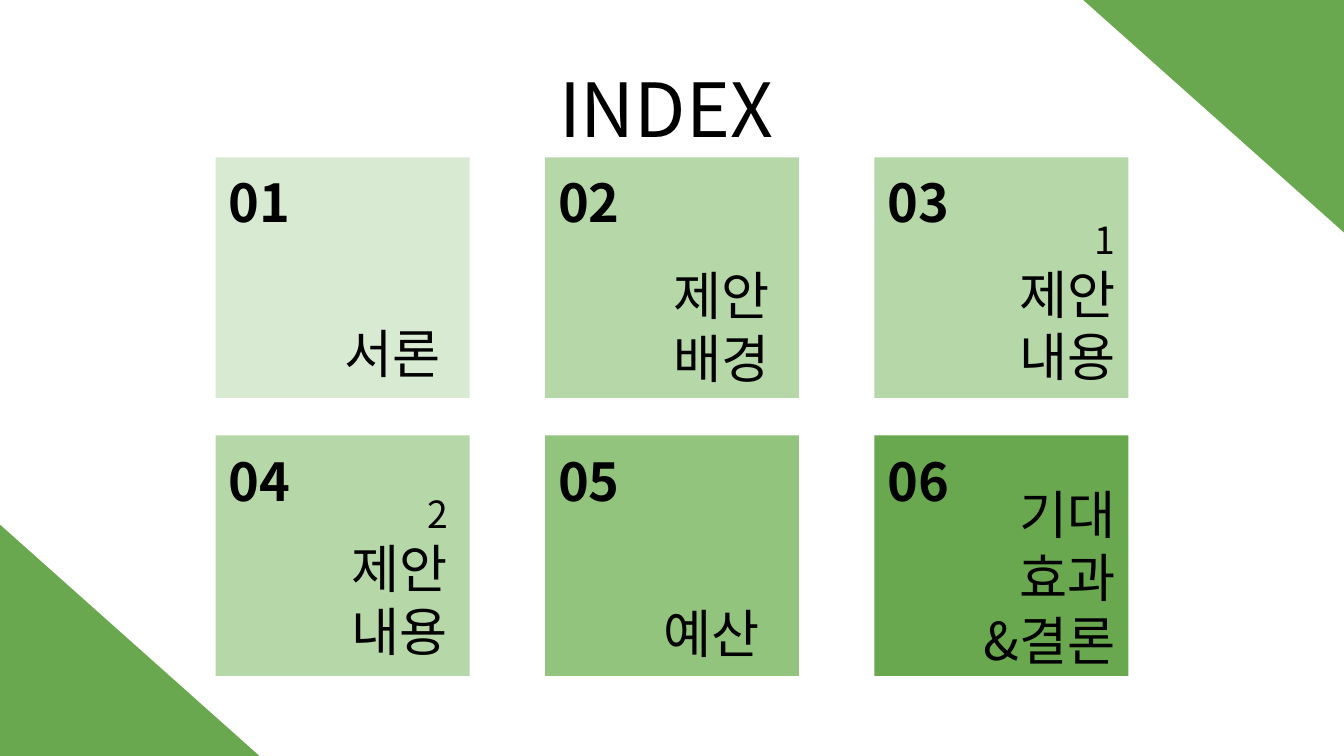
from pptx import Presentation
from pptx.dml.color import RGBColor
from pptx.enum.shapes import MSO_SHAPE
from pptx.enum.text import MSO_ANCHOR, MSO_AUTO_SIZE, PP_ALIGN
from pptx.oxml.ns import qn
from pptx.util import Emu, Pt

PX = 4572  # EMU per px, 200 px to the inch
FONT = "Noto Sans CJK KR"
COLORS = {
    "text": "000000",
    "pale": "D9EAD3",
    "light": "B6D7A8",
    "medium": "93C47D",
    "deep": "6AA84F",
}


def add_block(kind, bounds, color):
    block = page.shapes.add_shape(kind, *[Emu(n * PX) for n in bounds])
    block.shadow.inherit = False
    block.fill.solid()
    block.fill.fore_color.rgb = RGBColor.from_string(COLORS[color])
    block.line.fill.background()
    return block


def write(box, lines, align=PP_ALIGN.LEFT, bold=False, inset=20):
    """Fill a box with (text, point size) paragraphs."""
    frame = box.text_frame
    frame.word_wrap = True
    frame.vertical_anchor = MSO_ANCHOR.TOP
    frame.margin_left = frame.margin_right = Emu(20 * PX)
    frame.margin_top = frame.margin_bottom = Emu(inset * PX)
    frame.text = "\n".join(text for text, size in lines)
    for para, (text, size) in zip(frame.paragraphs, lines):
        para.alignment = align
        for span in para.runs:
            span.font.name = FONT
            span.font.size = Pt(size)
            span.font.bold = bold
            span.font.color.rgb = RGBColor.from_string(COLORS["text"])
            east_asian = span.font._element.makeelement(qn("a:ea"), {"typeface": FONT})
            span.font._element.find(qn("a:latin")).addnext(east_asian)


deck = Presentation()
deck.slide_width, deck.slide_height = Emu(2000 * PX), Emu(1125 * PX)
page = deck.slides.add_slide(deck.slide_layouts[5])

title = page.shapes.title
title.left, title.top, title.width, title.height = [Emu(n * PX) for n in (812, 84, 374, 154)]
write(title, [("INDEX", 40)], inset=10)
title.text_frame.word_wrap = False
title.text_frame.auto_size = MSO_AUTO_SIZE.SHAPE_TO_FIT_TEXT

# Tile colour, label bounds, label alignment, label lines
LEFT, RIGHT = PP_ALIGN.LEFT, PP_ALIGN.RIGHT
sections = [
    ("pale", (493, 458, 226, 136), LEFT, [("서론", 28)]),
    ("light", (982, 372, 226, 136), LEFT, [("제안배경", 28)]),
    ("light", (1383, 303, 296, 358), RIGHT, [("1", 20), ("제안 내용", 28)]),
    ("light", (390, 711, 296, 358), RIGHT, [("2", 20), ("제안 내용", 28)]),
    ("medium", (968, 874, 226, 136), LEFT, [("예산", 28)]),
    ("deep", (1371, 698, 308, 308), RIGHT, [("기대", 28), ("효과", 28), ("&결론", 28)]),
]
for index, (color, bounds, align, lines) in enumerate(sections):
    row, column = divmod(index, 3)
    left, top = 321 + 490 * column, 234 + 414 * row
    add_block(MSO_SHAPE.RECTANGLE, (left, top, 378, 358), color)
    number = page.shapes.add_textbox(*[Emu(n * PX) for n in (left, top, 164, 136)])
    write(number, [(f"{index + 1:02}", 28)], bold=True)
    label = page.shapes.add_textbox(*[Emu(n * PX) for n in bounds])
    write(label, lines, align)

for left, top, rotation in ((1612, 0, 180), (-2, 779, 0)):
    corner = add_block(MSO_SHAPE.RIGHT_TRIANGLE, (left, top, 388, 346), "deep")
    corner.rotation = rotation

deck.save("out.pptx")
